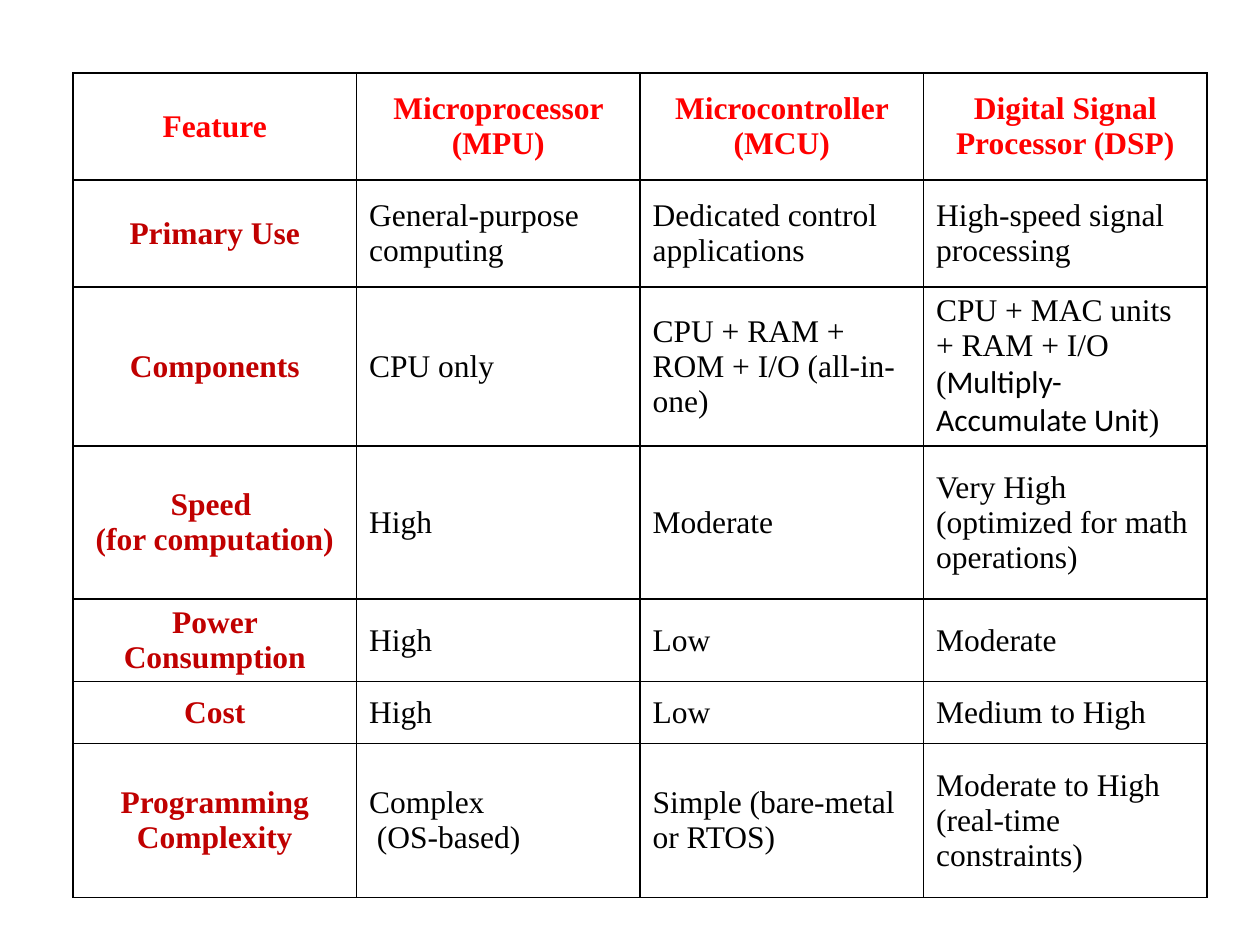
from lxml.etree import SubElement
from pptx import Presentation
from pptx.dml.color import RGBColor
from pptx.enum.text import MSO_ANCHOR, PP_ALIGN
from pptx.oxml.ns import qn
from pptx.util import Emu, Pt

PX_PER_INCH = 126
COLORS = {"header": "FF0000", "feature": "C00000", "body": "000000", "border": "000000"}
BODY_FONT = "Times New Roman"
TERM_FONT = "Calibri"
MAC_TERM = "Multiply-Accumulate Unit"

LEFT, TOP, COLUMN_WIDTH = 73, 73, 283.5
ROW_HEIGHTS = [107, 107, 159, 153, 82, 62, 154]

# A line break separates paragraphs
ROWS = [
    ["Feature", "Microprocessor (MPU)", "Microcontroller (MCU)",
     "Digital Signal Processor (DSP)"],
    ["Primary Use", "General-purpose computing", "Dedicated control applications",
     "High-speed signal processing"],
    ["Components", "CPU only", "CPU + RAM + ROM + I/O (all-in-one)",
     f"CPU + MAC units + RAM + I/O\n({MAC_TERM})"],
    ["Speed \n(for computation)", "High", "Moderate",
     "Very High (optimized for math operations)"],
    ["Power Consumption", "High", "Low", "Moderate"],
    ["Cost", "High", "Low", "Medium to High"],
    ["Programming Complexity", "Complex\n (OS-based)", "Simple (bare-metal or RTOS)",
     "Moderate to High (real-time constraints)"],
]


def px(length):
    return Emu(round(length * 914400 / PX_PER_INCH))


def add_borders(cell):
    properties = cell._tc.get_or_add_tcPr()
    for side in ("a:lnL", "a:lnR", "a:lnT", "a:lnB"):
        line = SubElement(properties, qn(side), w=str(Pt(1)))
        fill = SubElement(line, qn("a:solidFill"))
        SubElement(fill, qn("a:srgbClr"), val=COLORS["border"])


def add_span(para, text, color, bold):
    span = para.add_run()
    span.text = text
    span.font.name = TERM_FONT if text == MAC_TERM else BODY_FONT
    span.font.size = Pt(18)
    span.font.bold = bold
    span.font.color.rgb = RGBColor.from_string(COLORS[color])


def split_term(line):
    before, term, after = line.partition(MAC_TERM)
    return [piece for piece in (before, term, after) if piece]


def fill_cell(cell, text, color):
    heading = color != "body"
    cell.vertical_anchor = MSO_ANCHOR.MIDDLE
    add_borders(cell)
    cell.fill.background()
    cell.text_frame.text = "\n" * text.count("\n")
    for para, line in zip(cell.text_frame.paragraphs, text.split("\n")):
        para.alignment = PP_ALIGN.CENTER if heading else PP_ALIGN.LEFT
        for piece in split_term(line):
            add_span(para, piece, color, heading)


def add_comparison_table(page):
    column_count = len(ROWS[0])
    frame = page.shapes.add_table(
        len(ROWS), column_count, px(LEFT), px(TOP),
        px(COLUMN_WIDTH * column_count), px(sum(ROW_HEIGHTS)))
    table = frame.table
    table.horz_banding = False
    table.first_row = False
    for column in table.columns:
        column.width = px(COLUMN_WIDTH)
    for row, height in zip(table.rows, ROW_HEIGHTS):
        row.height = px(height)

    # Header row, feature column, then plain body cells
    for row_index, texts in enumerate(ROWS):
        for column_index, text in enumerate(texts):
            if row_index == 0:
                color = "header"
            else:
                color = "feature" if column_index == 0 else "body"
            fill_cell(table.cell(row_index, column_index), text, color)


def main():
    deck = Presentation()
    deck.slide_width, deck.slide_height = px(1260), px(945)
    page = deck.slides.add_slide(deck.slide_layouts[6])
    add_comparison_table(page)
    deck.save("out.pptx")


if __name__ == "__main__":
    main()
